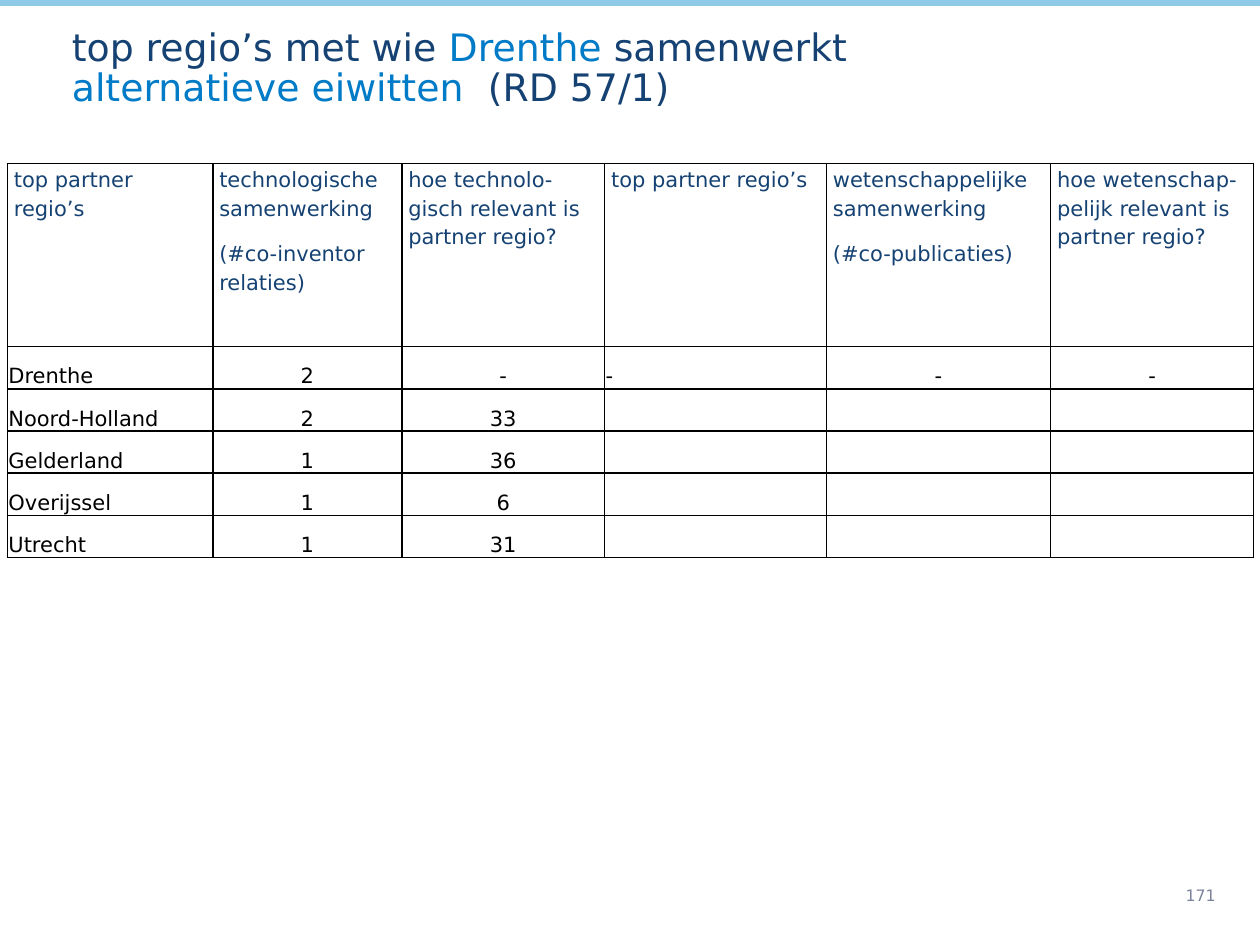
from lxml.etree import SubElement
from pptx import Presentation
from pptx.dml.color import RGBColor
from pptx.enum.shapes import MSO_SHAPE as Shape
from pptx.enum.text import MSO_ANCHOR as Anchor, PP_ALIGN as Align
from pptx.oxml.ns import qn
from pptx.util import Cm, Pt

COLORS = {"navy": "154273", "blue": "007BC7", "sky": "8FCAE7", "grey": "7A839A", "black": "000000"}
FONT = "DejaVu Sans"
COLUMN_WIDTHS = [4.14, 3.81, 4.09, 4.47, 4.52, 4.09]
HEADER_HEIGHT, ROW_HEIGHT = 3.69, 0.85
HEADERS = [
    ["top partner regio’s"],
    ["technologische samenwerking", "(#co-inventor relaties)"],
    ["hoe technolo-gisch relevant is partner regio?"],
    ["top partner regio’s"],
    ["wetenschappelijke samenwerking", "(#co-publicaties)"],
    ["hoe wetenschap-pelijk relevant is partner regio?"],
]
ROWS = [
    ["Drenthe", "2", "-", "-", "-", "-"],
    ["Noord-Holland", "2", "33", "", "", ""],
    ["Gelderland", "1", "36", "", "", ""],
    ["Overijssel", "1", "6", "", "", ""],
    ["Utrecht", "1", "31", "", "", ""],
]


def rgb(name):
    """Return the named colour."""
    return RGBColor.from_string(COLORS[name])


def write(paragraph, text, size=12, color="black", align=Align.LEFT, spacing=None, after=None):
    """Append a formatted run to a paragraph."""
    paragraph.alignment = align
    if spacing:
        paragraph.line_spacing = spacing
    if after:
        paragraph.space_after = Pt(after)
    run = paragraph.add_run()
    run.text = text
    run.font.name, run.font.size = FONT, Pt(size)
    run.font.color.rgb = rgb(color)


def add_text_frame(slide, left, top, width, height, anchor):
    """Add a wrapping text box and return its frame."""
    frame = slide.shapes.add_textbox(Cm(left), Cm(top), Cm(width), Cm(height)).text_frame
    frame.word_wrap = True
    frame.vertical_anchor = anchor
    return frame


def add_top_bar(slide, left, top, width, height):
    """Draw the coloured bar along the top edge."""
    bar = slide.shapes.add_shape(Shape.RECTANGLE, Cm(left), Cm(top), Cm(width), Cm(height))
    bar.shadow.inherit = False
    bar.fill.solid()
    bar.fill.fore_color.rgb = bar.line.color.rgb = rgb("sky")
    bar.line.width = Pt(0.75)


def add_title(slide, left, top, width, height):
    """Write the two-line title with its highlighted words."""
    paragraph = add_text_frame(slide, left, top, width, height, Anchor.TOP).paragraphs[0]
    lines = [
        [("top regio’s met wie ", "navy"), ("Drenthe", "blue"), (" samenwerkt", "navy")],
        [("alternatieve eiwitten  ", "blue"), ("(RD 57/1)", "navy")],
    ]
    for index, line in enumerate(lines):
        if index:
            paragraph.add_line_break()
        for text, color in line:
            write(paragraph, text, size=21.6, color=color, spacing=0.9)


def style_cell(cell, anchor, side):
    """Set the insets, anchor, black borders and empty fill of a cell."""
    cell.margin_left = cell.margin_right = Cm(side)
    cell.margin_top, cell.margin_bottom = Cm(0.02), 0
    cell.vertical_anchor = anchor
    properties = cell._tc.get_or_add_tcPr()
    for edge in ("lnL", "lnR", "lnT", "lnB"):
        line = SubElement(properties, qn(f"a:{edge}"), w=str(Pt(1)))
        fill = SubElement(line, qn("a:solidFill"))
        SubElement(fill, qn("a:srgbClr"), val=COLORS["black"])
    cell.fill.background()


def add_region_table(slide, left, top):
    """Build the table of partner regions."""
    width = sum(COLUMN_WIDTHS)
    height = HEADER_HEIGHT + ROW_HEIGHT * len(ROWS)
    table = slide.shapes.add_table(
        len(ROWS) + 1, len(COLUMN_WIDTHS), Cm(left), Cm(top), Cm(width), Cm(height)
    ).table
    table.first_row = table.horz_banding = False
    for column, column_width in zip(table.columns, COLUMN_WIDTHS):
        column.width = Cm(column_width)
    for index, row in enumerate(table.rows):
        row.height = Cm(ROW_HEIGHT if index else HEADER_HEIGHT)
    for column, texts in enumerate(HEADERS):
        cell = table.cell(0, column)
        style_cell(cell, Anchor.TOP, 0.13)
        for index, text in enumerate(texts):
            frame = cell.text_frame
            paragraph = frame.add_paragraph() if index else frame.paragraphs[0]
            write(paragraph, text, color="navy", spacing=1.15, after=10)
    for row, values in enumerate(ROWS, 1):
        for column, value in enumerate(values):
            cell = table.cell(row, column)
            style_cell(cell, Anchor.BOTTOM, 0.02)
            if value:
                align = Align.LEFT if column in (0, 3) else Align.CENTER
                write(cell.text_frame.paragraphs[0], value, align=align)


def add_page_number(slide, left, top, width, height):
    """Write the page number."""
    frame = add_text_frame(slide, left, top, width, height, Anchor.MIDDLE)
    write(frame.paragraphs[0], "171", size=9, color="grey")


def main():
    """Build and save the presentation."""
    presentation = Presentation()
    presentation.slide_width, presentation.slide_height = Cm(25.4), Cm(19.05)
    slide = presentation.slides.add_slide(presentation.slide_layouts[6])
    add_top_bar(slide, 0, 0, 25.4, 0.1)
    add_title(slide, 1.2, 0.45, 24.2, 1.8)
    add_region_table(slide, 0.15, 3.3)
    add_page_number(slide, 23.65, 17.53, 1.73, 1.04)
    presentation.save("out.pptx")


if __name__ == "__main__":
    main()
